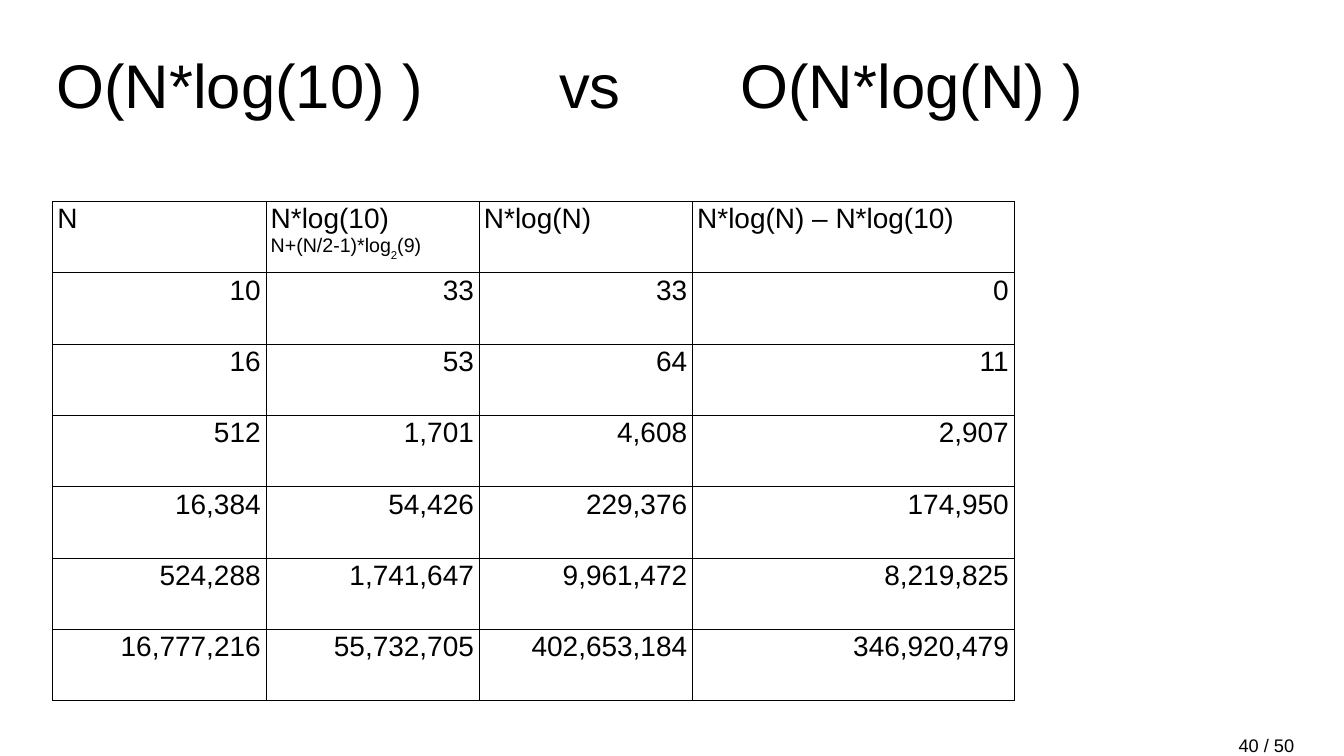
from pptx import Presentation, util as u
from pptx.dml.color import RGBColor
from pptx.enum import text
from pptx.oxml import parse_xml
from pptx.oxml.ns import nsdecls

COLORS = {"ink": "000000", "border": "000000"}
FONT = "Arial"
BORDER_WIDTH = u.Pt(0.57)


def add_run(paragraph, words, size):
    run = paragraph.add_run()
    run.text = words
    for name, value in {"name": FONT, "size": u.Pt(size), "bold": False}.items():
        setattr(run.font, name, value)
    run.font.color.rgb = RGBColor.from_string(COLORS["ink"])
    return run


def add_text_box(slide, left, top, width, height, frame_format):
    box = slide.shapes.add_textbox(*map(u.Inches, (left, top, width, height)))
    for name, value in {"word_wrap": True, **frame_format}.items():
        setattr(box.text_frame, name, value)
    return box.text_frame.paragraphs[0]


prs = Presentation()
prs.slide_width, prs.slide_height = u.Inches(26.66), u.Inches(15)
slide = prs.slides.add_slide(prs.slide_layouts[6])

# Title: three parts set on tab stops
title = add_text_box(slide, 1.12, 0.84, 24.42, 1.66,
                     {"margin_left": 0, "vertical_anchor": text.MSO_ANCHOR.MIDDLE})
stops = "".join(f'<a:tab pos="{u.Inches(x)}" algn="l"/>' for x in (9.97, 13.57))
title._p.get_or_add_pPr().append(
    parse_xml(f'<a:tabLst {nsdecls("a")}>{stops}</a:tabLst>'))
add_run(title, "O(N*log(10) )\tvs\tO(N*log(N) )", 88)

# Page number
page_number = add_text_box(slide, 24.47, 14.52, 2.55, 0.5, {})
add_run(page_number, "40 / 50", 26)

# Growth comparison table
growth = [
    ["N", "N*log(10)", "N*log(N)", "N*log(N) – N*log(10)"],
    ["10", "33", "33", "0"],
    ["16", "53", "64", "11"],
    ["512", "1,701", "4,608", "2,907"],
    ["16,384", "54,426", "229,376", "174,950"],
    ["524,288", "1,741,647", "9,961,472", "8,219,825"],
    ["16,777,216", "55,732,705", "402,653,184", "346,920,479"],
]
column_widths = [4.23, 4.23, 4.23, 6.38]
table = slide.shapes.add_table(
    len(growth), len(column_widths), u.Inches(1.04), u.Inches(3.99),
    u.Inches(sum(column_widths)), u.Inches(9.91)).table
for name, value in {"first_row": False, "horz_banding": False}.items():
    setattr(table, name, value)
for column, width in zip(table.columns, column_widths):
    column.width = u.Inches(width)

for r, values in enumerate(growth):
    for c, value in enumerate(values):
        cell = table.cell(r, c)
        paragraph = cell.text_frame.paragraphs[0]
        paragraph.alignment = text.PP_ALIGN.RIGHT if r else text.PP_ALIGN.LEFT
        add_run(paragraph, value, 40)
        for side in "LRTB":
            cell._tc.get_or_add_tcPr().append(parse_xml(
                f'<a:ln{side} {nsdecls("a")} w="{BORDER_WIDTH}"><a:solidFill>'
                f'<a:srgbClr val="{COLORS["border"]}"/></a:solidFill></a:ln{side}>'))
        cell.fill.background()

# Exact formula under the second heading
formula = table.cell(0, 1).text_frame.add_paragraph()
add_run(formula, "N+(N/2-1)*log", 28)
log_base = add_run(formula, "2", 28)
log_base._r.get_or_add_rPr().set("baseline", "-33000")
add_run(formula, "(9)", 28)

prs.save("out.pptx")
